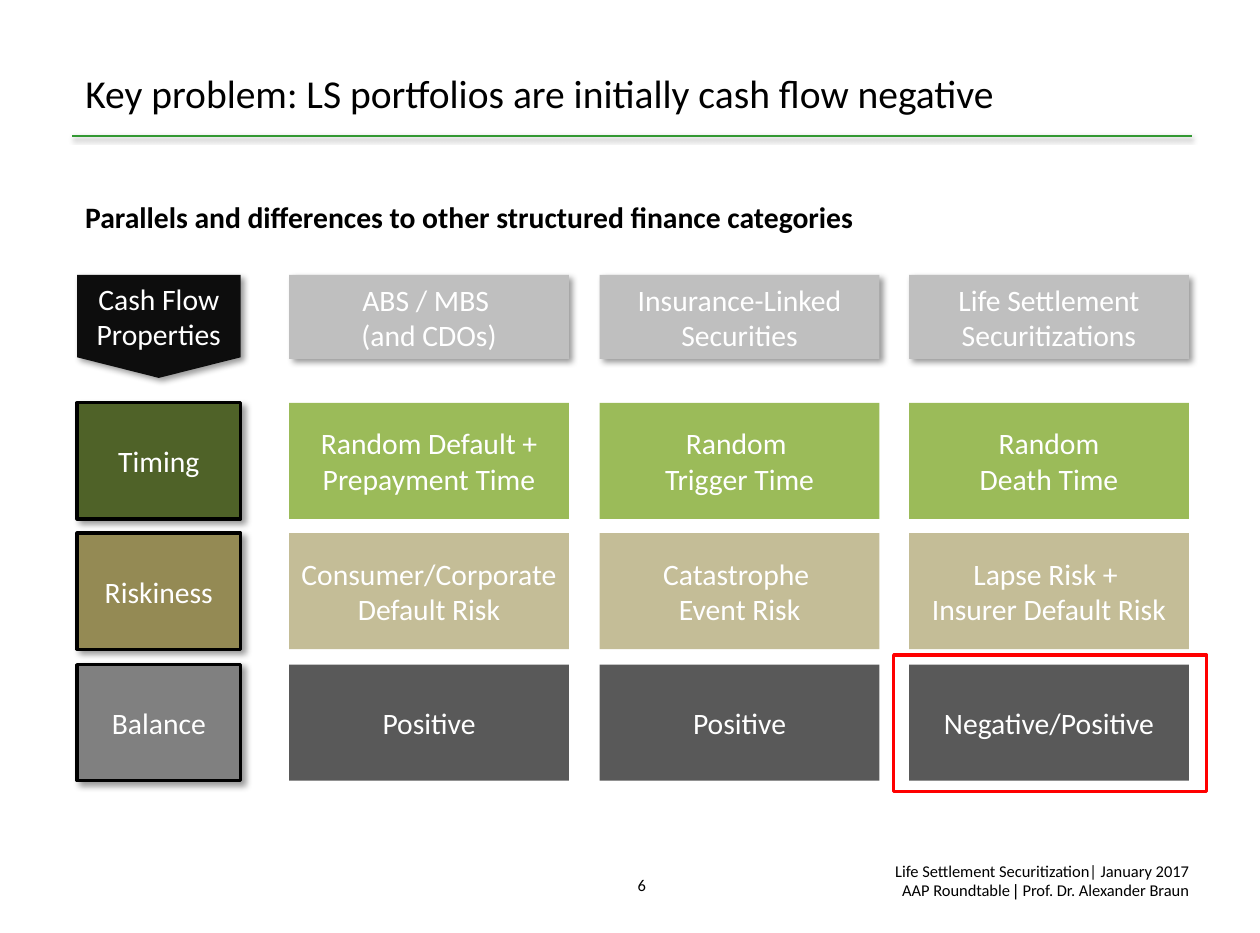
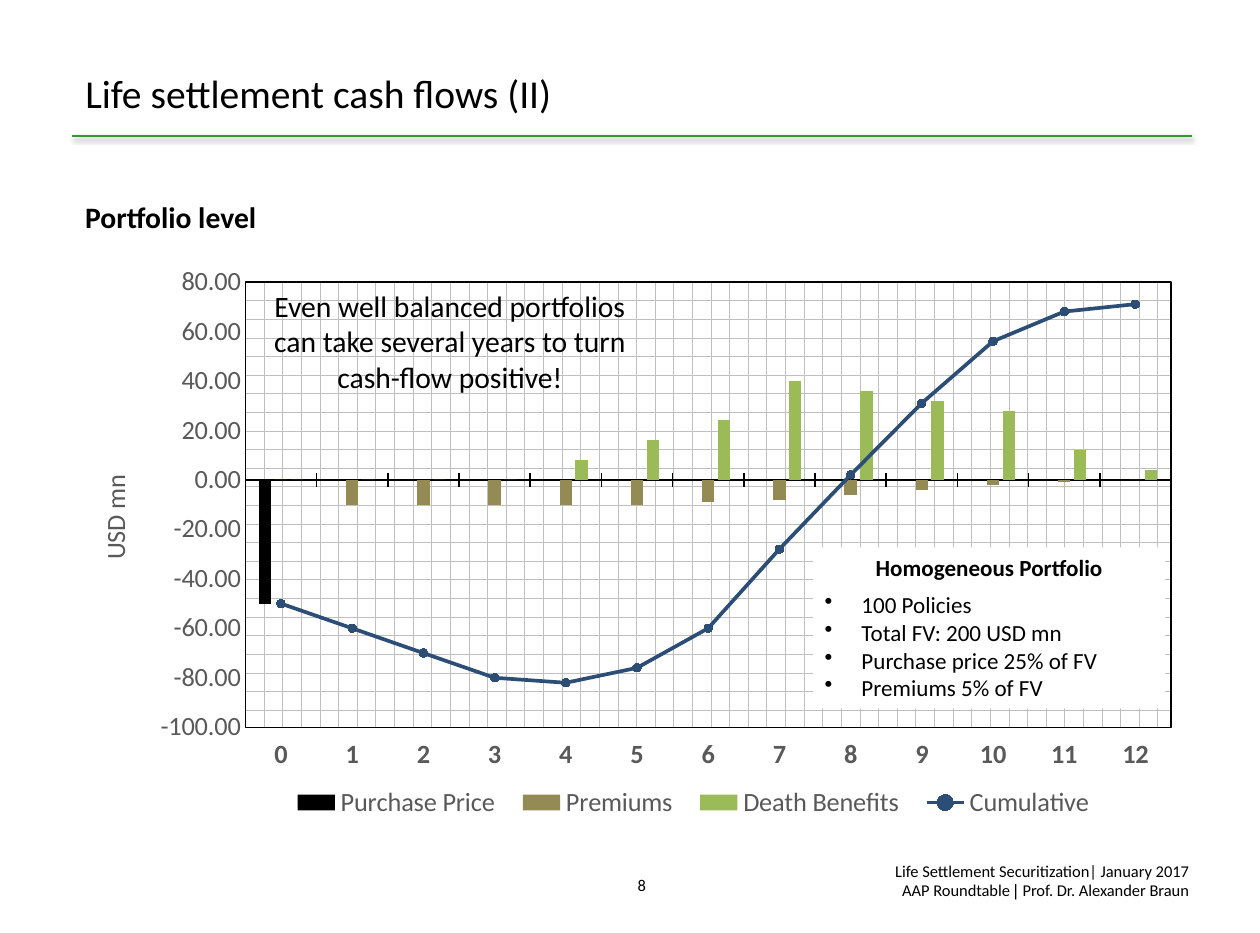
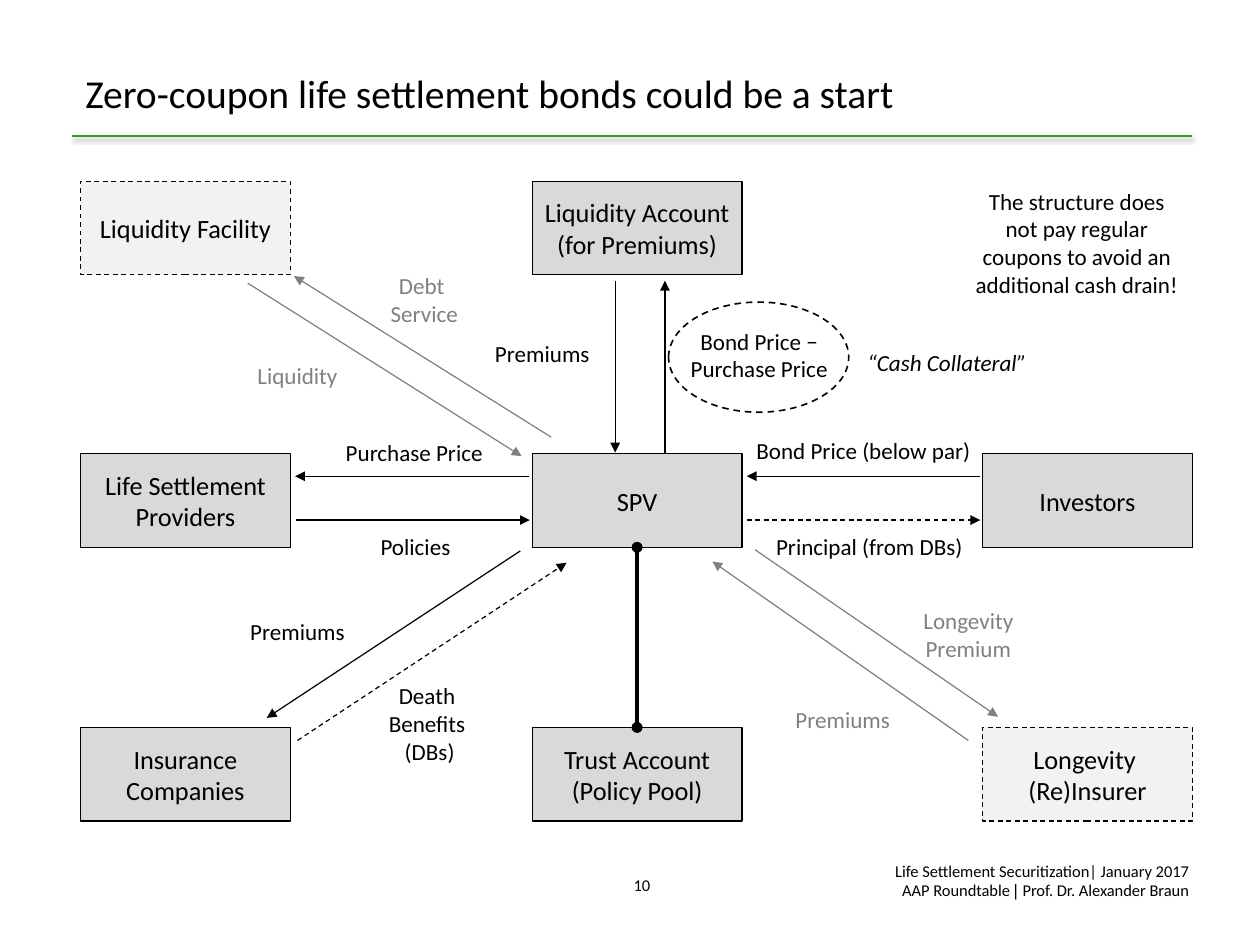
from lxml import etree
from pptx import Presentation
from pptx.chart.data import CategoryChartData
from pptx.dml.color import RGBColor
from pptx.enum.chart import (XL_CHART_TYPE, XL_LEGEND_POSITION, XL_MARKER_STYLE,
                             XL_TICK_LABEL_POSITION, XL_TICK_MARK)
from pptx.enum.dml import MSO_LINE
from pptx.enum.shapes import MSO_CONNECTOR, MSO_SHAPE
from pptx.enum.text import MSO_ANCHOR as Anchor, PP_ALIGN as Align
from pptx.oxml import parse_xml
from pptx.oxml.ns import nsdecls, qn
from pptx.util import Inches, Pt

# Shared style
SLIDE_SIZE = (10.63, 7.875)
FONT = "Calibri"
BLACK, WHITE, GREY, TEXT_GREY, RED = "000000", "FFFFFF", "808080", "595959", "FF0000"
LIGHT, PALE, RULE_GREEN = "D9D9D9", "F2F2F2", "339933"
GREEN, TAN, NAVY = "9BBB59", "948A54", "2C4D75"
# Shadow: opacity %, blur pt, distance pt, angle
BOX_SHADOW, RULE_SHADOW = (40, 4, 3, 45), (38, 3.1, 1.6, 90)
FOOTER = [[("Life Settlement Securitization| January 2017", FONT)],
          [("AAP Roundtable ", FONT), ("| ", "Arial"), ("Prof. Dr. Alexander Braun", FONT)]]

# Slide 1: comparison grid
COLUMN_HEADS = ["ABS / MBS \n(and CDOs)", "Insurance-Linked Securities",
                "Life Settlement\nSecuritizations"]
PROPERTIES = [  # name, name fill, cell fill, cells
    ("Timing", "4F6228", GREEN,
     ["Random Default +\nPrepayment Time", "Random \nTrigger Time", "Random\nDeath Time"]),
    ("Riskiness", TAN, "C4BD97",
     ["Consumer/Corporate Default Risk", "Catastrophe \nEvent Risk",
      "Lapse Risk + \nInsurer Default Risk"]),
    ("Balance", GREY, TEXT_GREY, ["Positive", "Positive", "Negative/Positive"]),
]

# Slide 2: cash flows in USD mn
CHART_AT = (0.62, 2.15, 9.45, 4.89)
YEARS = [str(year) for year in range(13)]
FLOWS = [
    ("Purchase Price", BLACK, [-50] + [0] * 12),
    ("Premiums", TAN, [0, -10, -10, -10, -10, -10, -9, -8, -6, -4, -2, -1, 0]),
    ("Death Benefits", GREEN, [0, 0, 0, 0, 8, 16, 24, 40, 36, 32, 28, 12, 4]),
    ("Cumulative", NAVY, [-50, -60, -70, -80, -82, -76, -60, -28, 2, 31, 56, 68, 71]),
]
PORTFOLIO_FACTS = ["100 Policies", "Total FV: 200 USD mn", "Purchase price 25% of FV",
                   "Premiums 5% of FV"]

# Slide 3: parties (column, row, optional), flows and labels
PARTIES = {
    "Liquidity Facility": (0, 0, True),
    "Liquidity Account (for Premiums)": (1, 0, False),
    "Life Settlement Providers": (0, 1, False),
    "SPV": (1, 1, False),
    "Investors": (2, 1, False),
    "Insurance\nCompanies": (0, 2, False),
    "Trust Account (Policy Pool)": (1, 2, False),
    "Longevity \n(Re)Insurer": (2, 2, True),
}
ARROWS = [  # start, end, colour, dashed
    ((8.27, 4.02), (6.3, 4.02), BLACK, False),
    ((6.3, 4.39), (8.27, 4.39), BLACK, True),
    ((4.46, 4.02), (2.49, 4.02), BLACK, False),
    ((2.5, 4.39), (4.47, 4.39), BLACK, False),
    ((4.39, 4.65), (2.25, 6.06), BLACK, False),
    ((2.51, 6.25), (4.78, 4.75), BLACK, True),
    ((5.19, 2.37), (5.19, 3.82), BLACK, False),
    ((5.61, 3.82), (5.61, 2.37), BLACK, False),
    ((6.37, 4.64), (8.42, 6.05), GREY, False),
    ((8.17, 6.25), (6.01, 4.74), GREY, False),
    ((2.09, 2.39), (4.4, 3.85), GREY, False),
    ((4.65, 3.69), (2.48, 2.33), GREY, False),
]
LABELS = [  # text, left, top, width, colour
    ("Purchase Price", 2.49, 3.62, 2.01, BLACK),
    ("Policies", 2.5, 4.42, 2.01, BLACK),
    ("Bond Price (below par)", 6.28, 3.61, 2.01, BLACK),
    ("Principal (from DBs)", 6.33, 4.42, 2.01, BLACK),
    ("Premiums", 1.91, 5.13, 1.2, BLACK),
    ("Death \nBenefits \n(DBs)", 2.84, 5.91, 1.57, BLACK),
    ("Bond Price − Purchase Price", 5.62, 2.8, 1.57, BLACK),
    ("Premiums", 3.79, 2.79, 1.57, BLACK),
    ("Debt \nService", 2.98, 2.33, 1.2, GREY),
    ("Liquidity", 1.91, 2.97, 1.2, GREY),
    ("Longevity\nPremium", 7.57, 5.16, 1.2, GREY),
    ("Premiums", 6.51, 5.88, 1.2, GREY),
]


def rgb(color):
    return RGBColor.from_string(color)


def style_font(font, size, color=BLACK, bold=False, italic=False):
    font.name, font.size, font.bold, font.italic = FONT, Pt(size), bold, italic
    font.color.rgb = rgb(color)


def set_effects(shape, shadow=None):
    """Replace the theme shadow; call after fill and line are set."""
    effects = etree.SubElement(shape._element.spPr, qn("a:effectLst"))
    if shadow:
        opacity, blur, distance, angle = shadow
        outer = etree.SubElement(effects, qn("a:outerShdw"), blurRad=str(Pt(blur)),
                                 dist=str(Pt(distance)), dir=str(angle * 60000),
                                 algn="tl", rotWithShape="0")
        black = etree.SubElement(outer, qn("a:srgbClr"), val=BLACK)
        etree.SubElement(black, qn("a:alpha"), val=str(opacity * 1000))


def write(shape, text, size, color=BLACK, align=Align.CENTER, anchor=Anchor.MIDDLE,
          inset=0.05, bold=False, italic=False):
    frame = shape.text_frame
    frame.word_wrap, frame.vertical_anchor = True, anchor
    frame.margin_left = frame.margin_right = Inches(inset)
    frame.margin_top = frame.margin_bottom = Inches(0.05)
    frame.text = text
    for paragraph in frame.paragraphs:
        paragraph.alignment = align
        style_font(paragraph.font, size, color, bold, italic)
    return frame


def add_text(slide, at, text, size, **options):
    return write(slide.shapes.add_textbox(*map(Inches, at)), text, size, **options)


def add_box(slide, at, fill=None, line=None, width=0.75, dashed=False, shadow=None,
            kind=MSO_SHAPE.RECTANGLE):
    box = slide.shapes.add_shape(kind, *map(Inches, at))
    if fill:
        box.fill.solid()
        box.fill.fore_color.rgb = rgb(fill)
    else:
        box.fill.background()
    if line:
        box.line.color.rgb, box.line.width = rgb(line), Pt(width)
        if dashed:
            box.line.dash_style = MSO_LINE.DASH
    else:
        box.line.fill.background()
    set_effects(box, shadow)
    return box


def add_line(slide, start, end, color=BLACK, width=0.75, dashed=False, head=None, tail=None,
             shadow=None):
    line = slide.shapes.add_connector(MSO_CONNECTOR.STRAIGHT, *map(Inches, start + end))
    line.line.color.rgb, line.line.width = rgb(color), Pt(width)
    if dashed:
        line.line.dash_style = MSO_LINE.DASH
    for tag, kind in (("a:headEnd", head), ("a:tailEnd", tail)):
        if kind:
            etree.SubElement(line.line._get_or_add_ln(), qn(tag), type=kind)
    set_effects(line, shadow)
    return line


def start_slide(presentation, title, number, subheading=None):
    slide = presentation.slides.add_slide(presentation.slide_layouts[6])
    add_line(slide, (0.61, 1.15), (10.06, 1.15), RULE_GREEN, 1, shadow=RULE_SHADOW)
    add_text(slide, (0.61, 0.39, 9.45, 0.79), title, 24, align=Align.LEFT, inset=0.11)
    if subheading:
        add_text(slide, (0.62, 1.58, 9.45, 0.5), subheading, 18, align=Align.LEFT,
                 inset=0.1, bold=True)
    add_text(slide, (4.97, 7.35, 0.89, 0.25), str(number), 10, anchor=Anchor.BOTTOM)
    footer = add_text(slide, (6.92, 7.17, 3.15, 0.47), "\n", 10, align=Align.RIGHT, inset=0.04)
    for paragraph, runs in zip(footer.paragraphs, FOOTER):
        for text, font in runs:
            run = paragraph.add_run()
            run.text, run.font.name = text, font
    footer.paragraphs[0].line_spacing = Pt(16)
    return slide


def build_comparison(presentation):
    slide = start_slide(presentation, "Key problem: LS portfolios are initially cash flow negative",
                        6, "Parallels and differences to other structured finance categories")
    name_left, name_width, head_top = 0.65, 1.38, 2.32
    cell_width, cell_height = 2.36, 0.98
    column_lefts, row_tops = (2.44, 5.06, 7.67), (3.4, 4.5, 5.61)

    # Header row
    corner = add_box(slide, (name_left, head_top, name_width, 0.87), "0D0D0D",
                     shadow=BOX_SHADOW, kind=MSO_SHAPE.FLOWCHART_OFFPAGE_CONNECTOR)
    write(corner, "Cash Flow\nProperties", 18, WHITE)
    for left, text in zip(column_lefts, COLUMN_HEADS):
        head = add_box(slide, (left, head_top, cell_width, 0.71), "BFBFBF", shadow=BOX_SHADOW)
        write(head, text, 18, WHITE)

    # One row per property
    for top, (name, name_fill, cell_fill, cells) in zip(row_tops, PROPERTIES):
        name_box = add_box(slide, (name_left, top, name_width, cell_height), name_fill,
                           BLACK, 2, shadow=BOX_SHADOW)
        write(name_box, name, 18, WHITE)
        for left, text in zip(column_lefts, cells):
            write(add_box(slide, (left, top, cell_width, cell_height), cell_fill),
                  text, 18, WHITE)

    # Highlight on the last cell
    add_box(slide, (7.54, 5.53, 2.64, 1.15), line=RED, width=2)


def set_layout(element, index, inner=False, **lengths):
    """Place a chart part by x, y, w, h in inches from the chart's corner."""
    for old in element.findall(qn("c:layout")):
        element.remove(old)
    layout = etree.SubElement(element, qn("c:layout"))
    manual = etree.SubElement(layout, qn("c:manualLayout"))
    if inner:
        etree.SubElement(manual, qn("c:layoutTarget"), val="inner")
    for mode in ("xMode", "yMode"):
        etree.SubElement(manual, qn("c:" + mode), val="edge")
    chart_width, chart_height = CHART_AT[2:]
    for key, length in lengths.items():
        whole = chart_width if key in "xw" else chart_height
        etree.SubElement(manual, qn("c:" + key), val=str(length / whole))
    element.insert(index, layout)


def move_last_series_to_line(chart):
    plot_area = chart._chartSpace.chart.plotArea
    bars = plot_area.find(qn("c:barChart"))
    series = bars.findall(qn("c:ser"))[-1]
    for flag in series.findall(qn("c:invertIfNegative")):
        series.remove(flag)
    lines = etree.SubElement(plot_area, qn("c:lineChart"))
    etree.SubElement(lines, qn("c:grouping"), val="stacked")
    etree.SubElement(lines, qn("c:varyColors"), val="0")
    lines.append(series)
    etree.SubElement(lines, qn("c:marker"), val="1")
    for axis in bars.findall(qn("c:axId")):
        etree.SubElement(lines, qn("c:axId"), val=axis.get("val"))
    bars.addnext(lines)


def add_cash_flow_chart(slide):
    data = CategoryChartData()
    data.categories = YEARS
    for name, _, values in FLOWS:
        data.add_series(name, values)
    chart = slide.shapes.add_chart(XL_CHART_TYPE.COLUMN_CLUSTERED,
                                   *map(Inches, CHART_AT), data).chart
    style_font(chart.font, 16)
    chart.has_title = False
    move_last_series_to_line(chart)

    # Columns and cumulative line
    columns, lines = chart.plots
    columns.gap_width, columns.overlap, columns.vary_by_categories = 219, -27, False
    for series, (_, color, _) in zip(columns.series, FLOWS):
        series.format.fill.solid()
        series.format.fill.fore_color.rgb = rgb(color)
    cumulative = lines.series[0]
    cumulative.smooth = False
    cumulative.format.line.color.rgb, cumulative.format.line.width = rgb(NAVY), Pt(2.25)
    marker = cumulative.marker
    marker.style, marker.size = XL_MARKER_STYLE.CIRCLE, 5
    marker.format.fill.solid()
    marker.format.fill.fore_color.rgb = marker.format.line.color.rgb = rgb(NAVY)

    # Axes
    years, amounts = chart.category_axis, chart.value_axis
    style_font(years.tick_labels.font, 16, TEXT_GREY, bold=True)
    years.tick_label_position = XL_TICK_LABEL_POSITION.LOW
    years.major_tick_mark = XL_TICK_MARK.CROSS
    years.format.line.color.rgb, years.format.line.width = rgb(BLACK), Pt(1)
    style_font(amounts.tick_labels.font, 16, TEXT_GREY)
    amounts.minimum_scale, amounts.maximum_scale, amounts.major_unit = -100, 80, 20
    amounts.has_major_gridlines = False
    amounts.major_tick_mark = XL_TICK_MARK.NONE
    amounts.tick_labels.number_format = "0.00"
    amounts.tick_labels.number_format_is_linked = False
    amounts.format.line.fill.background()
    title = amounts.axis_title
    title.text_frame.text = "USD mn"
    style_font(title.text_frame.paragraphs[0].font, 16, TEXT_GREY)
    set_layout(title._element, 1, x=0.16, y=1.82)

    # Legend and patterned plot area
    chart.has_legend = True
    chart.legend.position, chart.legend.include_in_layout = XL_LEGEND_POSITION.BOTTOM, False
    style_font(chart.legend.font, 16, TEXT_GREY)
    set_layout(chart.legend._element, 1, x=1.73, y=4.43, w=7, h=0.39)
    plot_area = chart._chartSpace.chart.plotArea
    set_layout(plot_area, 0, inner=True, x=1.45, y=0.23, w=7.81, h=3.76)
    plot_area.append(parse_xml(
        f'<c:spPr {nsdecls("c", "a")}><a:pattFill prst="dotGrid">'
        f'<a:fgClr><a:srgbClr val="BFBFBF"/></a:fgClr>'
        f'<a:bgClr><a:srgbClr val="{WHITE}"/></a:bgClr></a:pattFill>'
        f'<a:ln w="{Pt(0.75)}"><a:solidFill><a:srgbClr val="{BLACK}"/></a:solidFill></a:ln>'
        f'</c:spPr>'))


def build_cash_flows(presentation):
    slide = start_slide(presentation, "Life settlement cash flows (II)", 8, "Portfolio level")
    add_cash_flow_chart(slide)

    # Portfolio facts
    facts = add_box(slide, (6.86, 4.62, 2.97, 1.36), WHITE)
    frame = write(facts, "\n".join(["Homogeneous Portfolio"] + PORTFOLIO_FACTS), 14,
                  anchor=Anchor.TOP, inset=0.1)
    heading, *bullets = frame.paragraphs
    heading.font.bold, heading.space_after = True, Pt(6)
    for paragraph in bullets:
        paragraph.alignment = Align.LEFT
        properties = paragraph._p.get_or_add_pPr()
        properties.set("marL", str(Inches(0.31)))
        properties.set("indent", str(-Inches(0.31)))
        bullet = etree.Element(qn("a:buChar"), char="•")
        properties.find(qn("a:defRPr")).addprevious(bullet)

    add_text(slide, (2.04, 2.38, 3.51, 1.01),
             "Even well balanced portfolios can take several years to turn cash-flow positive!",
             18, anchor=Anchor.TOP, inset=0.1)


def build_bond_structure(presentation):
    slide = start_slide(presentation, "Zero-coupon life settlement bonds could be a start", 10)

    # Parties
    column_lefts, row_tops = (0.68, 4.49, 8.29), (1.53, 3.83, 6.14)
    boxes = {}
    for name, (column, row, optional) in PARTIES.items():
        box = add_box(slide, (column_lefts[column], row_tops[row], 1.77, 0.79),
                      PALE if optional else LIGHT, BLACK, dashed=optional)
        write(box, name, 16)
        boxes[name] = box

    # Flows
    for start, end, color, dashed in ARROWS:
        add_line(slide, start, end, color, dashed=dashed, tail="triangle")
    trust_link = add_line(slide, (5.38, 4.62), (5.38, 6.14), width=2.25, head="oval", tail="oval")
    trust_link.begin_connect(boxes["SPV"], 2)
    trust_link.end_connect(boxes["Trust Account (Policy Pool)"], 0)

    # Labels and notes
    add_box(slide, (5.64, 2.55, 1.52, 0.93), line=BLACK, width=1, dashed=True,
            kind=MSO_SHAPE.OVAL)
    for text, left, top, width, color in LABELS:
        add_text(slide, (left, top, width, 0.39), text, 14, color=color)
    add_text(slide, (7.21, 2.86, 1.56, 0.39), "“Cash Collateral”", 14, italic=True)
    add_text(slide, (8.1, 1.53, 1.97, 1.04),
             "The structure does not pay regular coupons to avoid an additional cash drain!",
             14, anchor=Anchor.TOP, inset=0.1)


def main():
    presentation = Presentation()
    presentation.slide_width, presentation.slide_height = map(Inches, SLIDE_SIZE)
    build_comparison(presentation)
    build_cash_flows(presentation)
    build_bond_structure(presentation)
    presentation.save("out.pptx")


if __name__ == "__main__":
    main()
